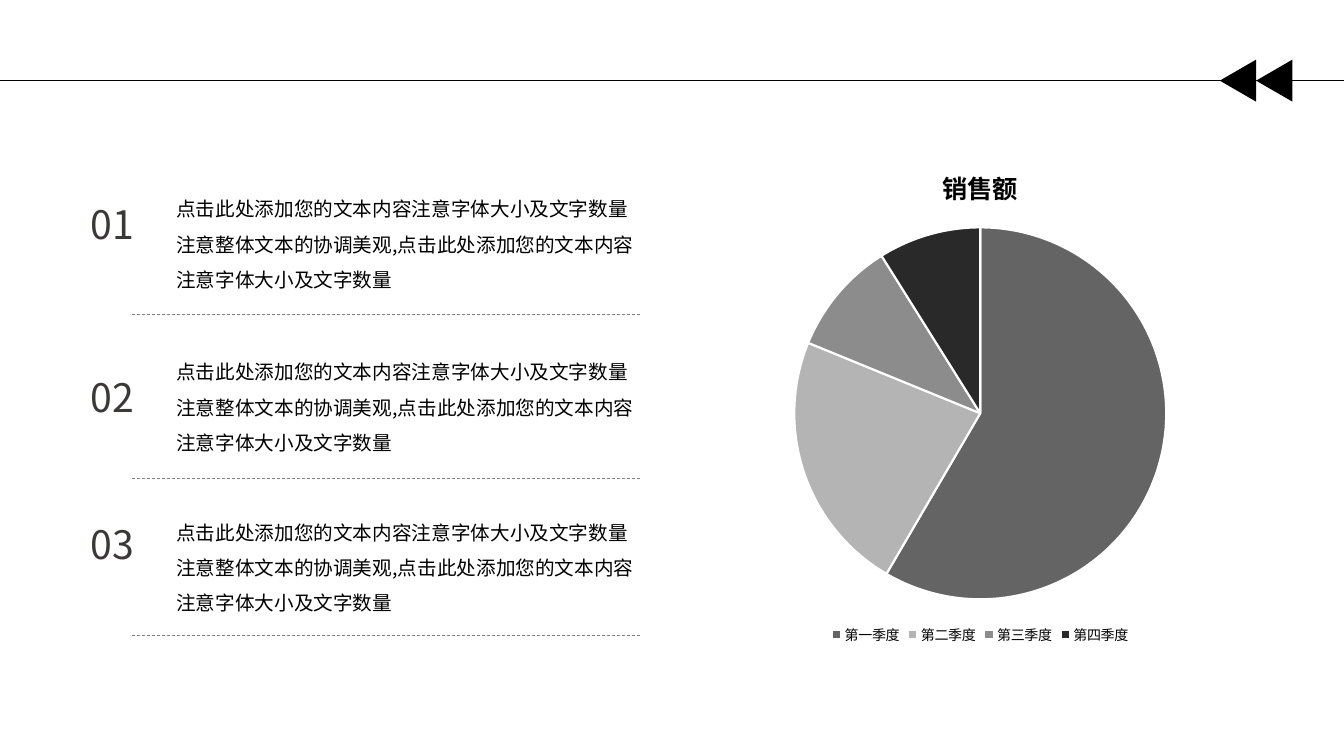
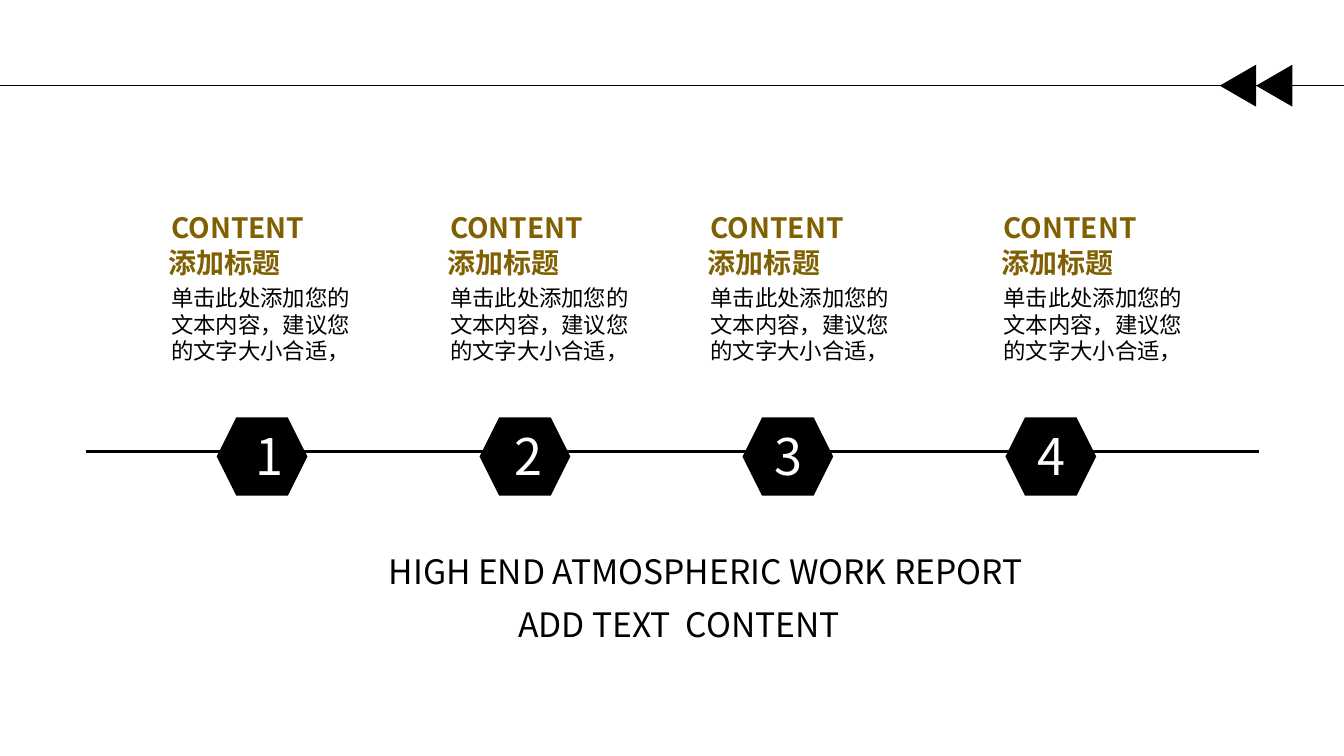
import pptx
import pptx.chart.data
import pptx.dml.color
import pptx.enum.chart
import pptx.enum.dml
import pptx.enum.shapes
import pptx.enum.text
import pptx.oxml.ns
import pptx.util
from lxml import etree

COLUMNS, ROWS = 160, 90
CELL = pptx.util.Inches(1 / 12)
FONT = "Noto Sans CJK SC"
BLACK, WHITE, GREY = "000000", "FFFFFF", "808080"
CHARCOAL, GOLD = "3B3838", "806000"
PIE_COLORS = ["646464", "B4B4B4", "8C8C8C", "292929"]

POINT_TEXT = ("点击此处添加您的文本内容注意字体大小及文字数量"
              "注意整体文本的协调美观,点击此处添加您的文本内容注意字体大小及文字数量")
STEP_TEXT = "单击此处添加您的文本内容，建议您的文字大小合适，"
POINT_ROWS = [(21.5, 23.2, 37.4), (40.9, 43.9, 57), (60, 61.4, 75.6)]
STEP_COLUMNS = [(19.2, 29.2), (52.4, 60.1), (83.4, 91), (118.3, 122.3)]
QUARTERS = {"第一季度": 59, "第二季度": 23, "第三季度": 10, "第四季度": 9}


def cells(*counts):
    return [round(count * CELL) for count in counts]


def color(value):
    return pptx.dml.color.RGBColor.from_string(value)


def set_font(font, size, value, bold=False):
    font.size = pptx.util.Pt(size)
    font.bold = bold
    font.color.rgb = color(value)
    font.name = FONT
    east_asian = etree.SubElement(font._rPr, pptx.oxml.ns.qn("a:ea"))
    east_asian.set("typeface", FONT)


def add_text(page, text, left, top, width, height, size,
             value=BLACK, bold=False, spacing=None, wrap=True):
    box = page.shapes.add_textbox(*cells(left, top, width, height))
    frame = box.text_frame
    frame.word_wrap = wrap
    frame.auto_size = pptx.enum.text.MSO_AUTO_SIZE.SHAPE_TO_FIT_TEXT
    para = frame.paragraphs[0]
    if spacing:
        para.line_spacing = spacing
    span = para.add_run()
    span.text = text
    set_font(span.font, size, value, bold)


def add_rule(page, start, end, row, width, value=BLACK, dashed=False):
    rule = page.shapes.add_connector(
        pptx.enum.shapes.MSO_CONNECTOR.STRAIGHT, *cells(start, row, end, row))
    rule.line.width = pptx.util.Pt(width)
    rule.line.color.rgb = color(value)
    if dashed:
        rule.line.dash_style = pptx.enum.dml.MSO_LINE.DASH
    etree.SubElement(rule._element.spPr, pptx.oxml.ns.qn("a:effectLst"))


def add_solid(page, kind, left, top, width, height, rotation=0):
    solid = page.shapes.add_shape(kind, *cells(left, top, width, height))
    solid.shadow.inherit = False
    solid.fill.solid()
    solid.fill.fore_color.rgb = color(BLACK)
    solid.line.fill.background()
    solid.rotation = rotation


def add_header(page, row):
    add_rule(page, 0, COLUMNS, row, 0.5)
    base, height = 5, 4.32
    for step in range(2):
        add_solid(page, pptx.enum.shapes.MSO_SHAPE.ISOSCELES_TRIANGLE,
                  149.2 - step * height, row - height / 2, base, height, 270)


def add_point(page, number, text_row, number_row, rule_row):
    add_rule(page, 15.7, 76.3, rule_row, 0.5, GREY, dashed=True)
    add_text(page, POINT_TEXT, 19.8, text_row, 57.2, 18.1, 14, spacing=1.5)
    add_text(page, f"{number:02}", 9.6, number_row, 10.2, 6.8, 28, CHARCOAL)


def add_pie(page, title, values):
    data = pptx.chart.data.CategoryChartData()
    data.categories = list(values)
    data.add_series(title, list(values.values()))
    chart = page.shapes.add_chart(
        pptx.enum.chart.XL_CHART_TYPE.PIE, *cells(72.5, 17.4, 88.4, 59.8), data).chart
    set_font(chart.font, 10, BLACK)
    chart.has_title = True
    span = chart.chart_title.text_frame.paragraphs[0].add_run()
    span.text = title
    set_font(span.font, 18, BLACK, bold=True)
    chart.has_legend = True
    chart.legend.position = pptx.enum.chart.XL_LEGEND_POSITION.BOTTOM
    chart.legend.include_in_layout = False
    set_font(chart.legend.font, 10, BLACK)
    for index, value in enumerate(PIE_COLORS):
        style = chart.plots[0].series[0].points[index].format
        style.fill.solid()
        style.fill.fore_color.rgb = color(value)
        style.line.color.rgb = color(WHITE)
        style.line.width = pptx.util.Pt(1.5)


def add_step(page, number, text_column, digit_column):
    add_text(page, STEP_TEXT, text_column, 33.2, 26, 10.9, 16)
    add_text(page, "CONTENT", text_column, 24.5, 20.2, 5.3, 20, GOLD, bold=True)
    add_text(page, "添加标题", text_column - 0.3, 28.6, 15.8, 5.3, 20, GOLD,
             bold=True, wrap=False)
    add_solid(page, pptx.enum.shapes.MSO_SHAPE.HEXAGON,
              25.8 + (number - 1) * 31.3, 49.7, 10.8, 9.3)
    add_text(page, str(number), digit_column, 50, 7.4, 8.5, 36, WHITE)


def add_sales_page(page):
    add_header(page, 9.6)
    for number, rows in enumerate(POINT_ROWS, 1):
        add_point(page, number, *rows)
    add_pie(page, "销售额", QUARTERS)


def add_timeline_page(page):
    add_header(page, 10.2)
    add_rule(page, 10.2, 149.9, 53.8, 2)
    for number, columns in enumerate(STEP_COLUMNS, 1):
        add_step(page, number, *columns)
    add_text(page, "HIGH END ATMOSPHERIC WORK REPORT", 45.1, 65, 84.5, 6, 24)
    add_text(page, "ADD TEXT  CONTENT", 60.5, 71.3, 49, 6, 24)


def main():
    deck = pptx.Presentation()
    deck.slide_width, deck.slide_height = cells(COLUMNS, ROWS)
    for build in (add_sales_page, add_timeline_page):
        build(deck.slides.add_slide(deck.slide_layouts[6]))
    deck.save("out.pptx")


if __name__ == "__main__":
    main()
